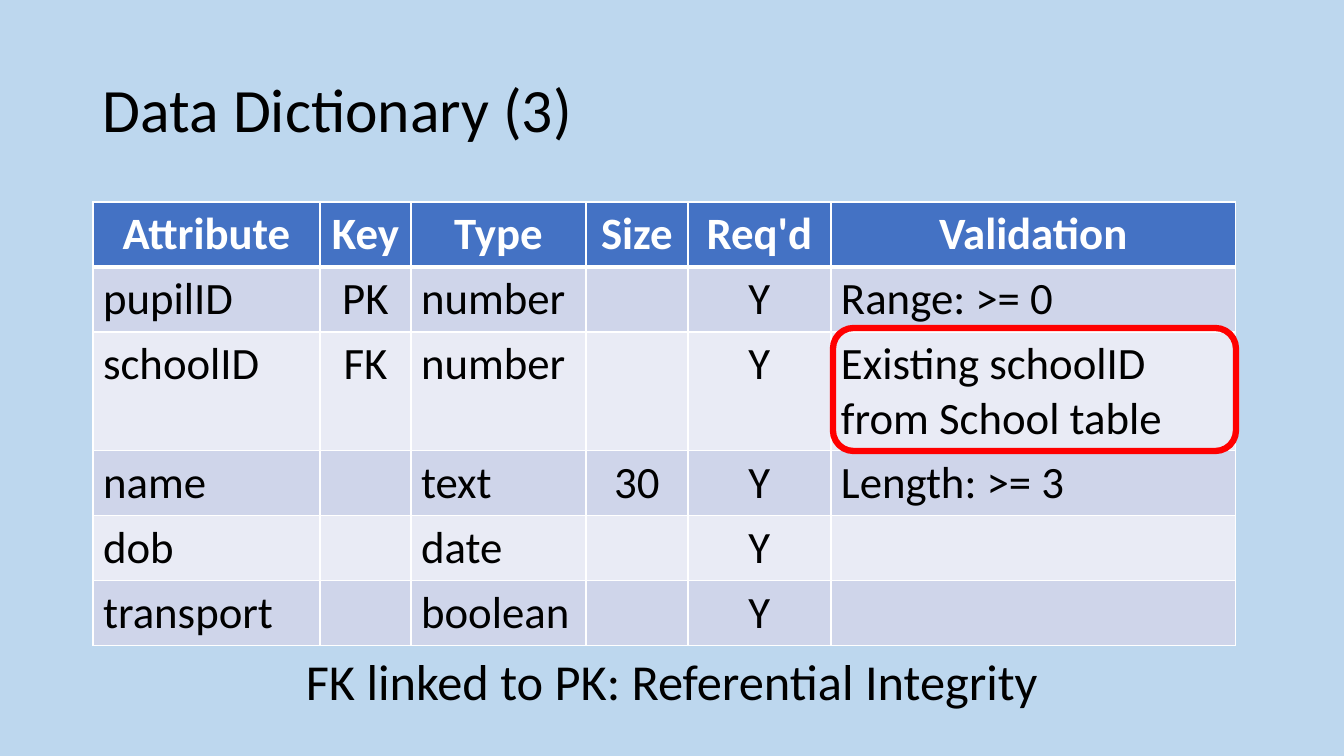
from lxml.etree import SubElement
from pptx import Presentation
from pptx.dml.color import RGBColor
from pptx.enum.shapes import MSO_SHAPE
from pptx.enum.text import MSO_ANCHOR, PP_ALIGN
from pptx.oxml import parse_xml
from pptx.oxml.ns import nsdecls, qn
from pptx.util import Emu, Pt

SLIDE_SIZE = (1344, 756)
FONT = "Calibri"
BACKGROUND, BLACK, WHITE, RED = "BDD7EE", "000000", "FFFFFF", "FF0000"
HEADER_FILL = "4472C4"
BAND_FILLS = ("CFD5EA", "E9EBF5")

TITLE = ("Data Dictionary (3)", (93, 40, 1159, 146), 44, PP_ALIGN.LEFT, 0.9)
CAPTION = ("FK linked to PK: Referential Integrity", (177, 644, 990, 72), 36, PP_ALIGN.CENTER, 1.0)

TABLE_ORIGIN = (93, 202)
COLUMNS = [
    ("Attribute", 227, PP_ALIGN.LEFT),
    ("Key", 91, PP_ALIGN.CENTER),
    ("Type", 175, PP_ALIGN.LEFT),
    ("Size", 102, PP_ALIGN.CENTER),
    ("Req'd", 143, PP_ALIGN.CENTER),
    ("Validation", 405, PP_ALIGN.LEFT),
]
ATTRIBUTES = [
    ("pupilID", "PK", "number", "", "Y", "Range: >= 0"),
    ("schoolID", "FK", "number", "", "Y", "Existing schoolID from School table"),
    ("name", "", "text", "30", "Y", "Length: >= 3"),
    ("dob", "", "date", "", "Y", ""),
    ("transport", "", "boolean", "", "Y", ""),
]
ROW_HEIGHTS = [65, 65, 119, 65, 65, 65]
TABLE_TEXT_SIZE = 32
HIGHLIGHT = (833, 328, 403, 123)


def px(length):
    return Emu(round(length * 914400 / 100.8))


def color(value):
    return RGBColor.from_string(value)


def add_text(paragraph, text, size, text_color, bold=False):
    run = paragraph.add_run()
    run.text = text
    run.font.name = FONT
    run.font.size = Pt(size)
    run.font.bold = bold
    run.font.color.rgb = color(text_color)


def add_label(slide, text, box, size, align, spacing):
    frame = slide.shapes.add_textbox(*map(px, box)).text_frame
    frame.word_wrap = True
    frame.vertical_anchor = MSO_ANCHOR.MIDDLE
    paragraph = frame.paragraphs[0]
    paragraph.alignment = align
    paragraph.line_spacing = spacing
    add_text(paragraph, text, size, BLACK)


def set_borders(cell, widths):
    properties = cell._tc.get_or_add_tcPr()
    for position, (side, width) in enumerate(zip("LRTB", widths)):
        border = parse_xml(f'<a:ln{side} {nsdecls("a")} w="{Pt(width)}"/>')
        fill = SubElement(border, qn("a:solidFill"))
        SubElement(fill, qn("a:srgbClr")).set("val", WHITE)
        properties.insert(position, border)


def add_dictionary(slide):
    names, widths, aligns = zip(*COLUMNS)
    rows = [names, *ATTRIBUTES]
    table = slide.shapes.add_table(
        len(rows), len(names), *map(px, (*TABLE_ORIGIN, sum(widths), sum(ROW_HEIGHTS)))
    ).table
    for column, width in zip(table.columns, widths):
        column.width = px(width)
    for r, (values, height) in enumerate(zip(rows, ROW_HEIGHTS)):
        header = r == 0
        table.rows[r].height = px(height)
        for c, value in enumerate(values):
            cell = table.cell(r, c)
            cell.fill.solid()
            cell.fill.fore_color.rgb = color(HEADER_FILL if header else BAND_FILLS[(r - 1) % 2])
            set_borders(cell, (1, 1, 3 if r == 1 else 1, 3 if header else 1))
            paragraph = cell.text_frame.paragraphs[0]
            paragraph.alignment = PP_ALIGN.CENTER if header else aligns[c]
            if value:
                add_text(paragraph, value, TABLE_TEXT_SIZE, WHITE if header else BLACK, header)


def add_highlight(slide):
    highlight = slide.shapes.add_shape(MSO_SHAPE.ROUNDED_RECTANGLE, *map(px, HIGHLIGHT))
    highlight.shadow.inherit = False
    highlight.fill.background()
    highlight.line.color.rgb = color(RED)
    highlight.line.width = Pt(4.5)


def main():
    deck = Presentation()
    deck.slide_width, deck.slide_height = map(px, SLIDE_SIZE)
    slide = deck.slides.add_slide(deck.slide_layouts[6])
    slide.background.fill.solid()
    slide.background.fill.fore_color.rgb = color(BACKGROUND)
    add_label(slide, *TITLE)
    add_dictionary(slide)
    add_label(slide, *CAPTION)
    add_highlight(slide)
    deck.save("out.pptx")


if __name__ == "__main__":
    main()
